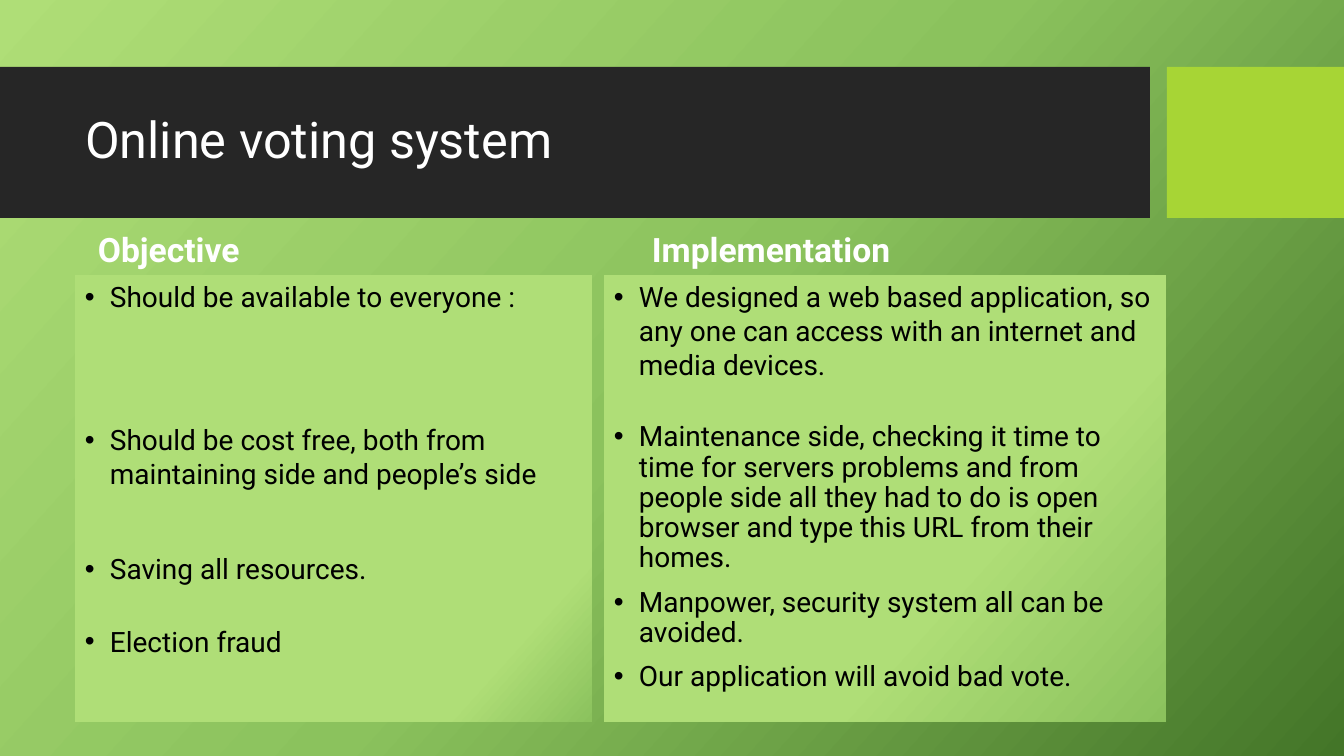
from copy import deepcopy
from pptx import Presentation
from pptx.dml.color import RGBColor
from pptx.enum.shapes import MSO_SHAPE
from pptx.enum.text import MSO_ANCHOR, MSO_AUTO_SIZE, PP_ALIGN
from pptx.oxml.ns import qn
from pptx.oxml.xmlchemy import OxmlElement
from pptx.util import Pt

RECT = MSO_SHAPE.RECTANGLE
TOP, MIDDLE, BOTTOM = MSO_ANCHOR.TOP, MSO_ANCHOR.MIDDLE, MSO_ANCHOR.BOTTOM
NO_FIT = MSO_AUTO_SIZE.NONE
LEFT = PP_ALIGN.LEFT
PX = 9071.43
INDENT = 25
COLORS = {"dark": "262626", "lime": "A7D535", "white": "FFFFFF", "black": "000000",
          "light": "AFDE77", "mid": "8BC25D", "deep": "437528"}


def shade(fill, root, spots):
    fill.gradient()
    fill.gradient_angle = 318
    group = next(root.iter(qn("a:gsLst")))
    group.append(deepcopy(group[-1]))
    for stop, spot, name in zip(fill.gradient_stops, spots, ("light", "mid", "deep")):
        stop.position = spot
        stop.color.rgb = RGBColor.from_string(COLORS[name])


def write(shape, lines, size, color, anchor, bold=False):
    frame = shape.text_frame
    frame.word_wrap = True
    frame.auto_size = NO_FIT
    frame.vertical_anchor = anchor
    frame.text = "\n".join(text for text, gap, space in lines)
    for para, (text, gap, space) in zip(frame.paragraphs, lines):
        para.alignment = LEFT
        para.space_before = Pt(gap)
        para.line_spacing = space
        font = para.runs[0].font
        font.name = "Roboto"
        font.size = Pt(size)
        font.bold = bold
        font.color.rgb = RGBColor.from_string(COLORS[color])


deck = Presentation()
deck.slide_width = round(1344 * PX)
deck.slide_height = round(756 * PX)
slide = deck.slides.add_slide(deck.slide_layouts[5])
shapes = slide.shapes
back = slide.background
shade(back.fill, slide.element, (0, 0.5, 1))

for x, wide, name in ((0, 1150, "dark"), (1167, 177, "lime")):
    bar = shapes.add_shape(RECT, *[round(n * PX) for n in (x, 67, wide, 151)])
    bar.shadow.inherit = False
    bar.fill.solid()
    bar.fill.fore_color.rgb = RGBColor.from_string(COLORS[name])
    bar.line.fill.background()

title = shapes.title
title.element.getparent().append(title.element)
title.left, title.top, title.width, title.height = [
    round(n * PX) for n in (75, 83, 1059, 119)]
write(title, [("Online voting system", 0, 0.9)], 36, "white", MIDDLE)

columns = (
    ("Objective", 88, 75, 517, 0.84, (
        ("Should be available to everyone :", 0, 1),
        ("Should be cost free, both from maintaining side and people’s side", 78, 1),
        ("Saving all resources.", 44, 1),
        ("Election fraud", 28, 1))),
    ("Implementation", 642, 604, 562, 0.65, (
        ("We designed a web based application, so any one can access with an "
         "internet and media devices.", 0, 1),
        ("Maintenance side, checking it time to time for servers problems and from "
         "people side all they had to do is open browser and type this URL from "
         "their homes.", 30, 0.9),
        ("Manpower, security system all can be avoided.", 10, 0.9),
        ("Our application will avoid bad vote.", 10, 0.9))),
)
for name, x, left, wide, spot, points in columns:
    head = shapes.add_textbox(*[round(n * PX) for n in (x, 220, 493, 55)])
    write(head, [(name, 0, 0.9)], 24, "white", BOTTOM, True)

    panel = shapes.add_shape(RECT, *[round(n * PX) for n in (left, 275, wide, 447)])
    panel.shadow.inherit = False
    panel.line.fill.background()
    shade(panel.fill, panel.element, (spot, 1, 1))
    write(panel, points, 20, "black", TOP)
    for para in panel.text_frame.paragraphs:
        props = para._p.get_or_add_pPr()
        props.set("marL", str(round(INDENT * PX)))
        props.set("indent", str(round(-INDENT * PX)))
        face = OxmlElement("a:buFont")
        face.set("typeface", "Arial")
        mark = OxmlElement("a:buChar")
        mark.set("char", "•")
        props.extend((face, mark))

deck.save("out.pptx")
